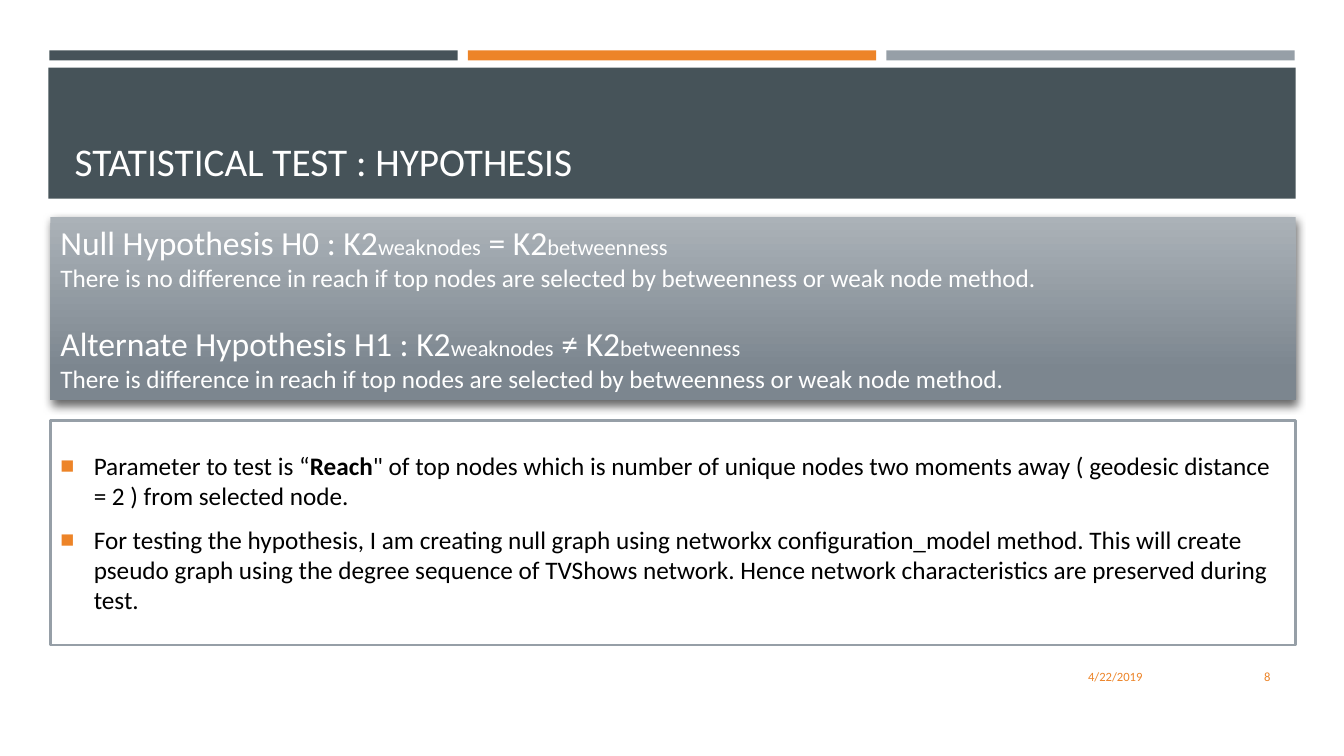
from lxml import etree
from pptx import Presentation
from pptx.dml.color import RGBColor
from pptx.enum.shapes import MSO_SHAPE
from pptx.enum.text import MSO_ANCHOR, MSO_AUTO_SIZE, PP_ALIGN
from pptx.oxml.ns import qn
from pptx.util import Inches, Pt

RECTANGLE = MSO_SHAPE.RECTANGLE
TOP, MIDDLE, BOTTOM = MSO_ANCHOR.TOP, MSO_ANCHOR.MIDDLE, MSO_ANCHOR.BOTTOM
LEFT, RIGHT = PP_ALIGN.LEFT, PP_ALIGN.RIGHT
NO_AUTOFIT = MSO_AUTO_SIZE.NONE

FONT = "Calibri"
DARK, ORANGE, GRAY, WHITE, BLACK = "465359", "ED8428", "969FA7", "FFFFFF", "000000"
TITLE = "STATISTICAL TEST : HYPOTHESIS"
HYPOTHESES = [
    [("Null Hypothesis H0 : K2", 24), ("weaknodes", 16), (" = K2", 24), ("betweenness", 16)],
    [("There is no difference in reach if top nodes are selected by betweenness or weak node method.", 18)],
    [("Alternate Hypothesis H1 : K2", 24), ("weaknodes", 16), (" ≠ K2", 24), ("betweenness", 16)],
    [("There is difference in reach if top nodes are selected by betweenness or weak node method.", 18)],
]
ALTERNATE_ROW = 2
DETAILS = [
    [("Parameter to test is “", 18), ("Reach", 18, True),
     ("\" of top nodes which is number of unique nodes two moments away "
      "( geodesic distance = 2 ) from selected node.", 18)],
    [("For testing the hypothesis, I am creating null graph using networkx configuration_model method. "
      "This will create pseudo graph using the degree sequence of TVShows network. "
      "Hence network characteristics are preserved during test.", 18)],
]
FOOTERS = [("4/22/2019", 8.32, 3.11), ("8", 11.55, 1.15)]

MARGIN, CONTENT_WIDTH = 0.5, 12.35
BAR_LEFT, BAR_WIDTH, BAR_GAP = 0.49, 4.05, 0.1


def rgb(value):
    return RGBColor.from_string(value)


def place(shape, left, top, width, height):
    shape.left, shape.top = Inches(left), Inches(top)
    shape.width, shape.height = Inches(width), Inches(height)


def add_rectangle(slide, box, color):
    shape = slide.shapes.add_shape(RECTANGLE, *map(Inches, box))
    shape.shadow.inherit = False
    shape.fill.solid()
    shape.fill.fore_color.rgb = rgb(color)
    shape.line.fill.background()
    return shape


def write(shape, rows, color, anchor, alignment=LEFT):
    frame = shape.text_frame
    frame.word_wrap = True
    frame.auto_size = NO_AUTOFIT
    frame.vertical_anchor = anchor
    frame.text = "\n".join("".join(part[0] for part in row) for row in rows)
    for paragraph, row in zip(frame.paragraphs, rows):
        paragraph.alignment = alignment
        paragraph.text = ""
        for text, size, *bold in row:
            run = paragraph.add_run()
            run.text = text
            run.font.name, run.font.size = FONT, Pt(size)
            run.font.bold = bool(bold)
            run.font.color.rgb = rgb(color)
    return frame.paragraphs


def add_bullet(paragraph):
    properties = paragraph._p.get_or_add_pPr()
    properties.set("marL", str(Inches(0.33)))
    properties.set("indent", str(-Inches(0.33)))
    color = etree.SubElement(properties, qn("a:buClr"))
    etree.SubElement(color, qn("a:srgbClr"), val=ORANGE)
    etree.SubElement(properties, qn("a:buSzPct"), val="92000")
    etree.SubElement(properties, qn("a:buChar"), char="■")


def add_shadow(shape):
    effects = shape.element.spPr.find(qn("a:effectLst"))
    shadow = etree.SubElement(effects, qn("a:outerShdw"), blurRad=str(Pt(7)), dist=str(Pt(3)),
                              dir=str(84 * 60000), algn="ctr", rotWithShape="0")
    color = etree.SubElement(shadow, qn("a:srgbClr"), val=BLACK)
    etree.SubElement(color, qn("a:alpha"), val="60000")


def main():
    presentation = Presentation()
    presentation.slide_width, presentation.slide_height = Inches(13.33), Inches(7.5)
    slide = presentation.slides.add_slide(presentation.slide_layouts[1])
    title, details = slide.placeholders

    for column, color in enumerate((DARK, ORANGE, GRAY)):
        left = BAR_LEFT + column * (BAR_WIDTH + BAR_GAP)
        bar = add_rectangle(slide, (left, 0.5, BAR_WIDTH, 0.1), color)
        title.element.addprevious(bar.element)
    band = add_rectangle(slide, (0.48, 0.67, 12.37, 1.3), DARK)
    title.element.addprevious(band.element)

    place(title, 0.64, 0.77, 12.06, 1.11)
    write(title, [[(TITLE, 28)]], WHITE, BOTTOM)

    place(details, MARGIN, 4.17, CONTENT_WIDTH, 2.23)
    details.fill.solid()
    details.fill.fore_color.rgb = rgb(WHITE)
    details.line.color.rgb = rgb(GRAY)
    details.line.width = Pt(1.75)
    for paragraph in write(details, DETAILS, BLACK, MIDDLE):
        paragraph.space_after = Pt(6)
        add_bullet(paragraph)

    for text, left, width in FOOTERS:
        footer = slide.shapes.add_textbox(*map(Inches, (left, 6.51, width, 0.4)))
        write(footer, [[(text, 9)]], ORANGE, MIDDLE, RIGHT)

    panel = add_rectangle(slide, (MARGIN, 2.15, CONTENT_WIDTH, 1.82), GRAY)
    panel.fill.gradient()
    panel.fill.gradient_angle = 270
    for stop, (position, color) in zip(panel.fill.gradient_stops, ((0, "ABB2B8"), (0.84, "7C868F"))):
        stop.position = position
        stop.color.rgb = rgb(color)
    add_shadow(panel)
    paragraphs = write(panel, HYPOTHESES, WHITE, TOP)
    paragraphs[ALTERNATE_ROW].space_before = Pt(22)

    presentation.save("out.pptx")


if __name__ == "__main__":
    main()
